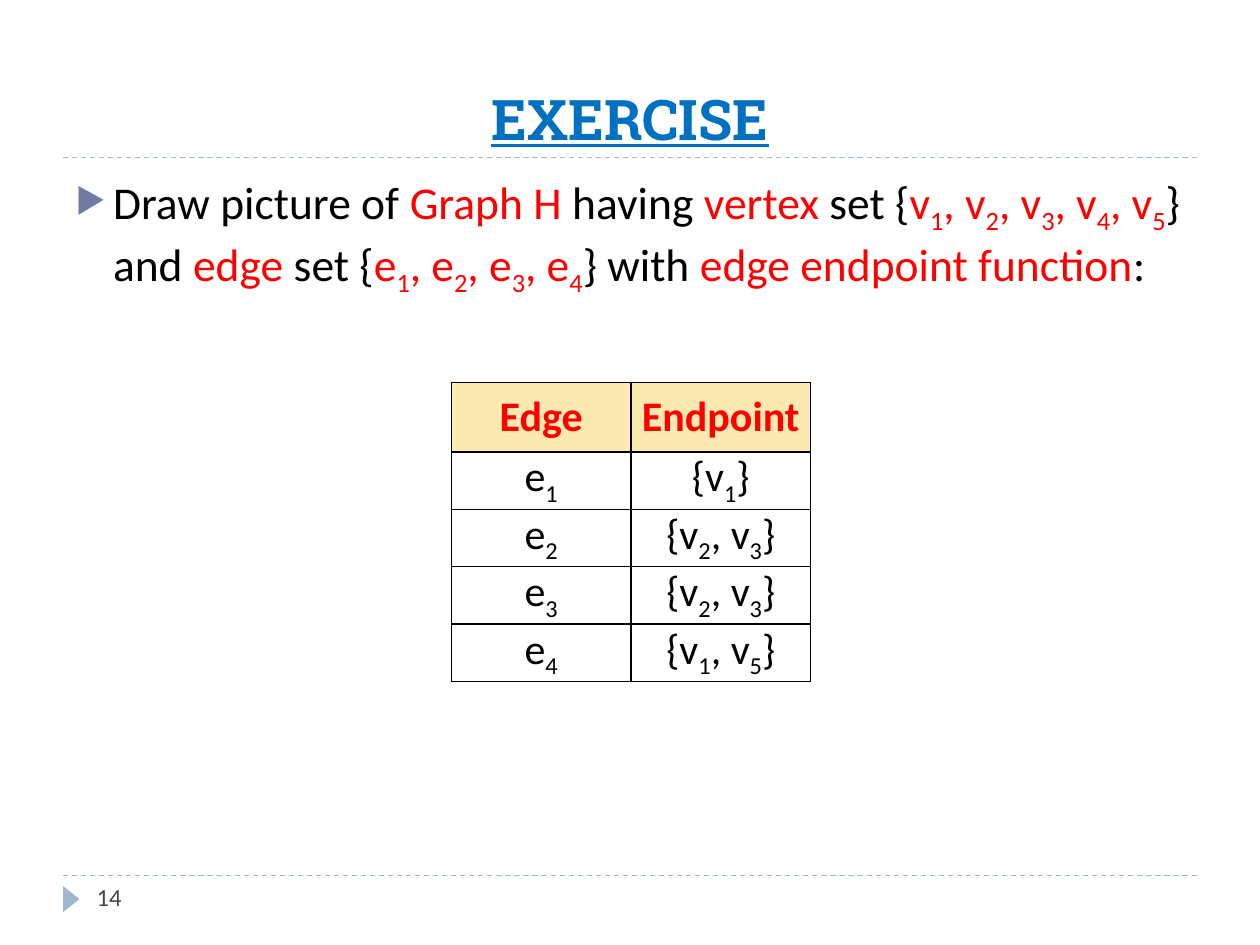
import pptx
import pptx.dml.color
import pptx.enum.dml
import pptx.enum.shapes
import pptx.enum.text
import pptx.oxml
import pptx.oxml.ns
import pptx.util
from pptx.util import Cm

BLACK, RED, BLUE, PALE_BLUE = "000000", "FF0000", "0070C0", "9FB8CD"
HEADER_FILL, BULLET, NUMBER = "FCE9AF", "727CA3", "464653"

TITLE = "EXERCISE"
PAGE_NUMBER = "14"
TASK = ("Draw picture of *Graph H* having *vertex* set "
        "{*v_1, v_2, v_3, v_4, v_5*} and *edge* set "
        "{*e_1, e_2, e_3, e_4*} with *edge endpoint function*:")
ENDPOINTS = [
    ("*Edge*", "*Endpoint*"),
    ("e_1", "{v_1}"),
    ("e_2", "{v_2, v_3}"),
    ("e_3", "{v_2, v_3}"),
    ("e_4", "{v_1, v_5}"),
]

LEFT, WIDTH = 1.27, 22.86
TITLE_RULE, FOOTER_RULE = 3.18, 17.65
COLUMN_WIDTH, HEADER_HEIGHT, ROW_HEIGHT = 3.62, 1.4, 1.15


def color(value):
    return pptx.dml.color.RGBColor.from_string(value)


def add_xml(parent, markup):
    namespace = pptx.oxml.ns.nsdecls("a")
    tag, rest = markup[1:].split(" ", 1)
    parent.append(pptx.oxml.parse_xml(f"<{tag} {namespace} {rest}"))


def pieces(text):
    for index, part in enumerate(text.split("*")):
        first, *others = part.split("_")
        yield first, index % 2 == 1, False
        for other in others:
            yield other[0], index % 2 == 1, True
            yield other[1:], index % 2 == 1, False


def write(frame, text, size, font="Calibri", fill=BLACK, bold=False,
          underline=False, align=None, anchor=None):
    frame.word_wrap = True
    if anchor is not None:
        frame.vertical_anchor = anchor
    para = frame.paragraphs[0]
    para.alignment = align
    for words, is_red, is_subscript in pieces(text):
        if not words:
            continue
        span = para.add_run()
        span.text = words
        span.font.name = font
        span.font.size = pptx.util.Pt(size)
        span.font.bold = bold
        span.font.underline = underline
        span.font.color.rgb = color(RED if is_red else fill)
        if is_subscript:
            span._r.get_or_add_rPr().set("baseline", "-25000")
    return para


def add_rule(page, top):
    rule = page.shapes.add_connector(
        pptx.enum.shapes.MSO_CONNECTOR.STRAIGHT,
        Cm(LEFT), Cm(top), Cm(LEFT + WIDTH), Cm(top))
    rule.line.color.rgb = color(PALE_BLUE)
    rule.line.width = pptx.util.Pt(0.75)
    rule.line.dash_style = pptx.enum.dml.MSO_LINE.DASH
    add_xml(rule._element.spPr, "<a:effectLst />")


def add_marker(page):
    marker = page.shapes.add_shape(
        pptx.enum.shapes.MSO_SHAPE.ISOSCELES_TRIANGLE,
        Cm(1.17), Cm(17.96), Cm(0.53), Cm(0.33))
    marker.rotation = 90
    marker.shadow.inherit = False
    marker.fill.solid()
    marker.fill.fore_color.rgb = color(PALE_BLUE)
    marker.line.fill.background()


def add_task(page):
    box = page.shapes.add_textbox(Cm(LEFT), Cm(3.38), Cm(WIDTH), Cm(13.97))
    para = box.text_frame.paragraphs[0]
    properties = para._p.get_or_add_pPr()
    properties.set("marL", str(Cm(0.76)))
    properties.set("indent", str(-Cm(0.76)))
    add_xml(properties, f'<a:buClr ><a:srgbClr val="{BULLET}"/></a:buClr>')
    add_xml(properties, '<a:buSzPct val="76000"/>')
    add_xml(properties, '<a:buChar char="▶"/>')
    write(box.text_frame, TASK, 26)


def add_borders(cell):
    properties = cell._tc.get_or_add_tcPr()
    for position, side in enumerate(("lnL", "lnR", "lnT", "lnB")):
        namespace = pptx.oxml.ns.nsdecls("a")
        properties.insert(position, pptx.oxml.parse_xml(
            f'<a:{side} {namespace} w="12700"><a:solidFill>'
            f'<a:srgbClr val="{BLACK}"/></a:solidFill></a:{side}>'))


def add_endpoints(page):
    row_count, column_count = len(ENDPOINTS), len(ENDPOINTS[0])
    height = HEADER_HEIGHT + ROW_HEIGHT * (row_count - 1)
    table = page.shapes.add_table(
        row_count, column_count, Cm(9.1), Cm(7.71),
        Cm(COLUMN_WIDTH * column_count), Cm(height)).table
    table.first_row = table.horz_banding = False
    for column in table.columns:
        column.width = Cm(COLUMN_WIDTH)
    for row_index, texts in enumerate(ENDPOINTS):
        is_header = row_index == 0
        table.rows[row_index].height = Cm(HEADER_HEIGHT if is_header else ROW_HEIGHT)
        for column_index, text in enumerate(texts):
            cell = table.cell(row_index, column_index)
            cell.margin_left = cell.margin_right = 0
            cell.margin_top = cell.margin_bottom = 0
            cell.vertical_anchor = pptx.enum.text.MSO_ANCHOR.MIDDLE
            if is_header:
                cell.fill.solid()
                cell.fill.fore_color.rgb = color(HEADER_FILL)
            else:
                cell.fill.background()
            add_borders(cell)
            write(cell.text_frame, text, 24, bold=is_header,
                  align=pptx.enum.text.PP_ALIGN.CENTER)


def main():
    deck = pptx.Presentation()
    deck.slide_width, deck.slide_height = Cm(25.4), Cm(19.05)
    page = deck.slides.add_slide(deck.slide_layouts[5])
    for top in (FOOTER_RULE, TITLE_RULE):
        add_rule(page, top)
    add_marker(page)

    title = page.shapes.title
    title.left, title.top = Cm(LEFT), Cm(0.43)
    title.width, title.height = Cm(WIDTH), Cm(2.75)
    write(title.text_frame, TITLE, 32, font="Roboto Slab", fill=BLUE,
          bold=True, underline=True, align=pptx.enum.text.PP_ALIGN.CENTER,
          anchor=pptx.enum.text.MSO_ANCHOR.BOTTOM)

    number = page.shapes.add_textbox(Cm(1.7), Cm(FOOTER_RULE), Cm(5.51), Cm(1.02))
    write(number.text_frame, PAGE_NUMBER, 14, fill=NUMBER)
    add_task(page)
    add_endpoints(page)
    deck.save("out.pptx")


if __name__ == "__main__":
    main()
